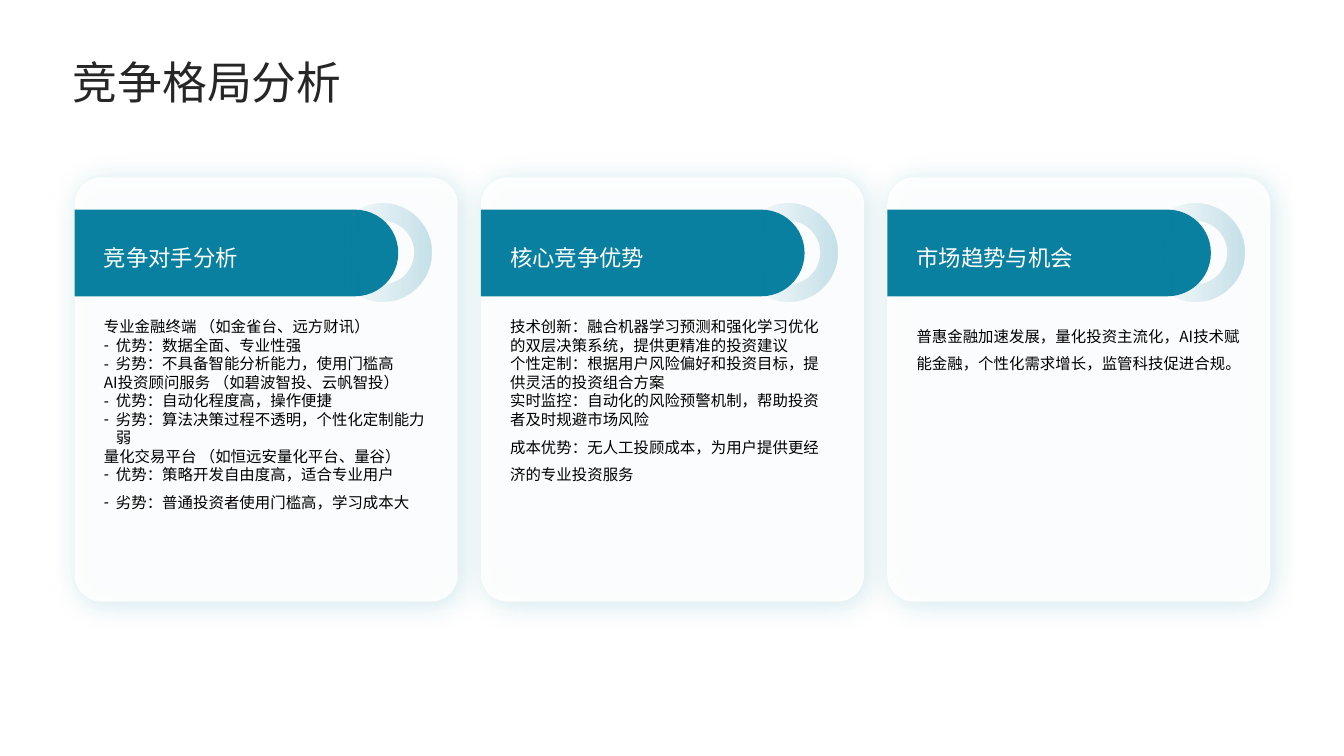
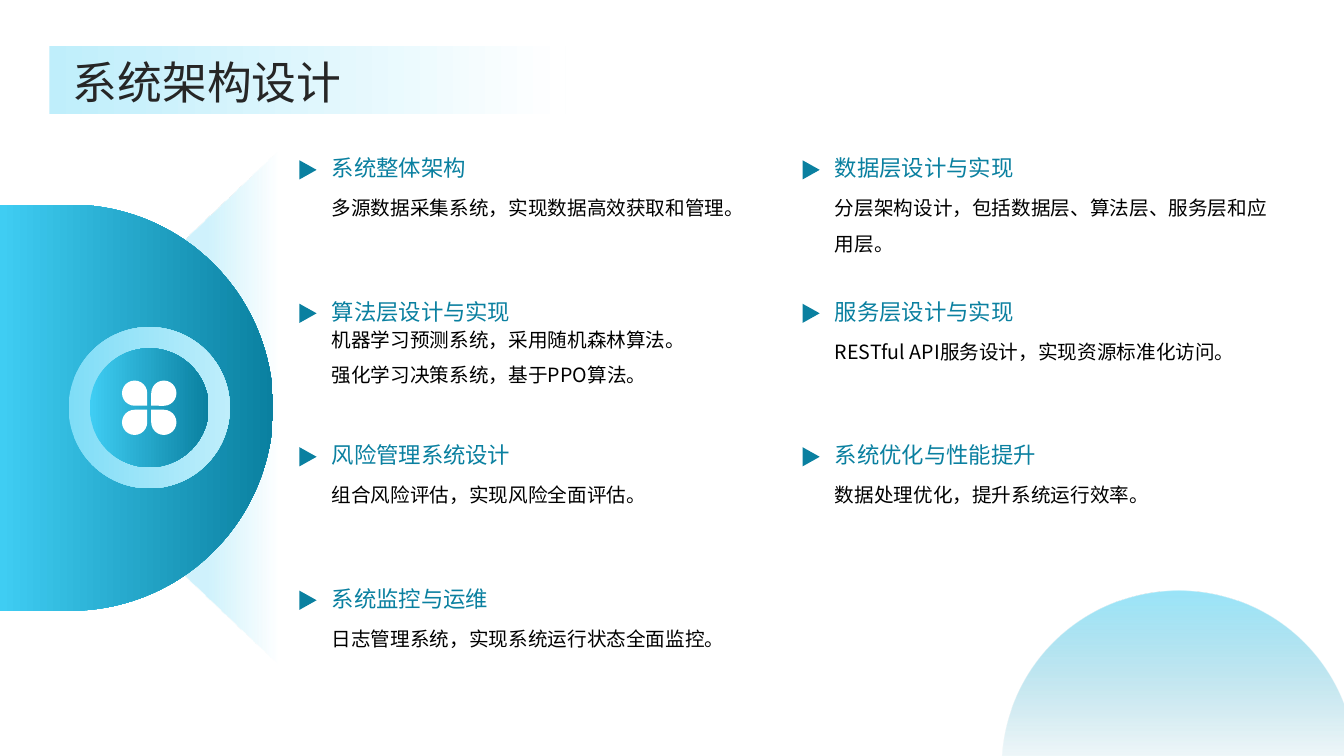
import math

from lxml import etree
from pptx import Presentation
from pptx.dml.color import RGBColor
from pptx.enum import shapes, text
from pptx.oxml import parse_xml
from pptx.oxml.ns import nsdecls, qn
from pptx.util import Inches, Pt

FONT = "Noto Sans CJK SC"
C = {"teal": "0A80A0", "cyan": "3FCDF3", "pale": "BFEEFB", "sky": "7FDDF7",
     "white": "FFFFFF", "black": "000000", "title": "262626"}
SHAPE = shapes.MSO_SHAPE
ANCHOR = text.MSO_ANCHOR

# Gradients: (angle, [(position %, colour, opacity %), ...])
DEEP = (0, [(0, "cyan", 100), (100, "teal", 100)])
RING = (0, [(0, "sky", 100), (100, "pale", 100)])
BAND = (0, [(0, "pale", 100), (100, "white", 100)])
BEAM = (90, [(22, "pale", 73), (57, "pale", 0)])
DOME = (90, [(0, "cyan", 52), (53, "teal", 0)])
HALO = (0, [(9, "teal", 0), (100, "teal", 22)])

CARDS = [
    ("竞争对手分析",
     "专业金融终端 （如金雀台、远方财讯）\n"
     "- 优势：数据全面、专业性强\n"
     "- 劣势：不具备智能分析能力，使用门槛高\n"
     "AI投资顾问服务 （如碧波智投、云帆智投）\n"
     "- 优势：自动化程度高，操作便捷\n"
     "- 劣势：算法决策过程不透明，个性化定制能力弱\n"
     "量化交易平台 （如恒远安量化平台、量谷）\n"
     "- 优势：策略开发自由度高，适合专业用户\n"
     "- 劣势：普通投资者使用门槛高，学习成本大"),
    ("核心竞争优势",
     "技术创新：融合机器学习预测和强化学习优化的双层决策系统，提供更精准的投资建议\n"
     "个性定制：根据用户风险偏好和投资目标，提供灵活的投资组合方案\n"
     "实时监控：自动化的风险预警机制，帮助投资者及时规避市场风险\n"
     "成本优势：无人工投顾成本，为用户提供更经济的专业投资服务"),
    ("市场趋势与机会",
     "普惠金融加速发展，量化投资主流化，AI技术赋能金融，个性化需求增长，监管科技促进合规。"),
]

TOPICS = [
    ("系统整体架构", "多源数据采集系统，实现数据高效获取和管理。"),
    ("数据层设计与实现", "分层架构设计，包括数据层、算法层、服务层和应用层。"),
    ("算法层设计与实现", "机器学习预测系统，采用随机森林算法。\n强化学习决策系统，基于PPO算法。"),
    ("服务层设计与实现", "RESTful API服务设计，实现资源标准化访问。"),
    ("风险管理系统设计", "组合风险评估，实现风险全面评估。"),
    ("系统优化与性能提升", "数据处理优化，提升系统运行效率。"),
    ("系统监控与运维", "日志管理系统，实现系统运行状态全面监控。"),
]


def place(sp, x, y, w, h):
    sp.left, sp.top, sp.width, sp.height = (Inches(v) for v in (x, y, w, h))


def to_front(sp):
    sp._element.getparent().append(sp._element)


def paint(sp, fill, alpha=None):
    """Fill with a colour name or a gradient; no line, no shadow."""
    sp.shadow.inherit = False
    sp.line.fill.background()
    if isinstance(fill, str):
        sp.fill.solid()
        sp.fill.fore_color.rgb = RGBColor.from_string(C[fill])
        if alpha is not None:
            clr = sp._element.spPr.find(qn("a:solidFill"))[0]
            etree.SubElement(clr, qn("a:alpha"), val=str(alpha * 1000))
        return
    angle, stops = fill
    gs = "".join(f'<a:gs pos="{pos * 1000}"><a:srgbClr val="{C[name]}">'
                 f'<a:alpha val="{a * 1000}"/></a:srgbClr></a:gs>' for pos, name, a in stops)
    sp.fill.background()
    spPr = sp._element.spPr
    spPr.replace(spPr.find(qn("a:noFill")), parse_xml(
        f'<a:gradFill {nsdecls("a")} rotWithShape="1"><a:gsLst>{gs}</a:gsLst>'
        f'<a:lin ang="{angle * 60000}" scaled="0"/></a:gradFill>'))


def soft_shadow(sp):
    effects = sp._element.spPr.find(qn("a:effectLst"))
    effects.append(parse_xml(
        f'<a:outerShdw {nsdecls("a")} blurRad="{Pt(20)}" dist="{Pt(3)}" dir="{36 * 60000}" '
        f'algn="ctr" rotWithShape="0"><a:srgbClr val="{C["teal"]}">'
        f'<a:alpha val="20000"/></a:srgbClr></a:outerShdw>'))


def draw(s, kind, x, y, w, h, fill, rot=0, adj=(), alpha=None):
    """Add a preset shape; the box is the one seen after rotation."""
    bw, bh = (h, w) if rot in (90, 270) else (w, h)
    sp = s.shapes.add_shape(kind, 0, 0, 0, 0)
    place(sp, x + (w - bw) / 2, y + (h - bh) / 2, bw, bh)
    sp.rotation = rot
    for i, value in enumerate(adj):
        sp.adjustments[i] = value
    paint(sp, fill, alpha)
    return sp


def write(sp, content, *, size, color="black", spacing=1.5, anchor=ANCHOR.TOP):
    """Fill a text frame; the spacing opens up the last paragraph, "- " makes a bullet."""
    tf = sp.text_frame
    tf.word_wrap = True
    tf.auto_size = text.MSO_AUTO_SIZE.NONE
    tf.vertical_anchor = anchor
    tf.margin_left = tf.margin_right = tf.margin_top = tf.margin_bottom = 0
    lines = content.split("\n")
    for i, line in enumerate(lines):
        p = tf.add_paragraph() if i else tf.paragraphs[0]
        bullet = line.startswith("- ")
        indent = Inches(0.12) if bullet else 0
        pPr = p._p.get_or_add_pPr()
        pPr.set("marL", str(indent))
        pPr.set("indent", str(-indent))
        if bullet:
            etree.SubElement(pPr, qn("a:buChar"), char="-")
        else:
            etree.SubElement(pPr, qn("a:buNone"))
        p.alignment = text.PP_ALIGN.LEFT
        p.space_before = p.space_after = Pt(0)
        p.line_spacing = spacing if i == len(lines) - 1 else 1.0
        r = p.add_run()
        r.text = line.removeprefix("- ")
        r.font.size = Pt(size)
        r.font.color.rgb = RGBColor.from_string(C[color])
        r.font.name = FONT
        etree.SubElement(r._r.get_or_add_rPr(), qn("a:ea"), typeface=FONT)


def label(s, content, x, y, w, h, **fmt):
    sp = s.shapes.add_textbox(0, 0, 0, 0)
    place(sp, x, y, w, h)
    write(sp, content, **fmt)


def add_title(s, content):
    sp = s.shapes.title
    place(sp, 0.72, 0.53, 11.88, 0.51)
    write(sp, content, size=32, color="title", spacing=1.1, anchor=ANCHOR.MIDDLE)
    to_front(sp)


def card(s, x, y, heading, content, body=None):
    """One panel with a heading tab; the list goes in body when one is given."""
    panel = draw(s, SHAPE.ROUNDED_RECTANGLE, x, y, 3.8, 4.21, "white", adj=[0.07], alpha=90)
    soft_shadow(panel)
    draw(s, SHAPE.ROUND_2_SAME_RECTANGLE, x, y + 0.32, 3.21, 0.86, "teal", rot=90, adj=[0.5, 0])
    label(s, heading, x + 0.29, y + 0.44, 2.8, 0.63,
          size=16, color="white", spacing=1.3, anchor=ANCHOR.MIDDLE)
    body = body or s.shapes.add_textbox(0, 0, 0, 0)
    place(body, x + 0.29, y + 1.39, 3.21, 2.5)
    write(body, content, size=11)
    to_front(body)
    draw(s, SHAPE.DONUT, x + 2.57, y + 0.26, 0.97, 0.97, HALO, adj=[0.18])


def topic(s, x, y, heading, content):
    """A triangle marker, a heading and its text."""
    draw(s, SHAPE.ISOSCELES_TRIANGLE, x, y + 0.35, 0.17, 0.19, "teal", rot=90)
    label(s, heading, x + 0.32, y, 4.32, 0.56,
          size=16, color="teal", spacing=1.2, anchor=ANCHOR.BOTTOM)
    label(s, content, x + 0.32, y + 0.59, 4.32, 0.69, size=14)


def emblem(s, y, w, h):
    """Half disc on the left edge with a beam, a ring and a four-petal icon."""
    mid, radius = y + h / 2, h / 2
    draw(s, SHAPE.TRAPEZOID, 1.64, mid - 3.34, 1.96, 6.68, BEAM, rot=270, adj=[0.95])

    # Half disc: straight edges, then an arc from top to bottom
    steps = 90
    angles = [math.pi * (k / steps - 0.5) for k in range(steps + 1)]
    arc = [(Inches(w - radius + radius * math.cos(a)), Inches(mid + radius * math.sin(a)))
           for a in angles]
    outline = s.shapes.build_freeform(0, Inches(y))
    outline.add_line_segments(arc + [(0, Inches(y + h))], close=True)
    paint(outline.convert_to_shape(), DEEP)

    # Concentric discs
    cx = 1.48
    for size, fill in ((1.6, RING), (1.18, DEEP)):
        draw(s, SHAPE.OVAL, cx - size / 2, mid - size / 2, size, size, fill)

    # Petals, each pointing to the centre
    petal, gap = 0.25, 0.02
    for rot, dx, dy in ((90, -1, -1), (180, 1, -1), (270, 1, 1), (0, -1, 1)):
        reach = petal / 2 + gap
        draw(s, SHAPE.TEAR, cx + dx * reach - petal / 2, mid + dy * reach - petal / 2,
             petal, petal, "white", rot=rot)


def competition_slide(prs):
    s = prs.slides.add_slide(prs.slide_layouts[1])
    bodies = [s.placeholders[1], None, None]
    for i, ((heading, content), body) in enumerate(zip(CARDS, bodies)):
        card(s, 0.74 + 4.03 * i, 1.76, heading, content, body)
    add_title(s, "竞争格局分析")


def architecture_slide(prs):
    s = prs.slides.add_slide(prs.slide_layouts[5])
    emblem(s, 2.03, 2.71, 4.03)
    for i, (heading, content) in enumerate(TOPICS):
        row, col = divmod(i, 2)
        topic(s, 2.97 + 4.99 * col, 1.24 + 4.27 / 3 * row, heading, content)
    draw(s, SHAPE.OVAL, 9.93, 5.86, 3.51, 3.51, DOME)
    draw(s, SHAPE.RECTANGLE, 0.49, 0.46, 5.12, 0.67, BAND)
    add_title(s, "系统架构设计")


def main():
    prs = Presentation()
    prs.slide_width, prs.slide_height = Inches(13.33), Inches(7.5)
    competition_slide(prs)
    architecture_slide(prs)
    prs.save("out.pptx")


if __name__ == "__main__":
    main()
